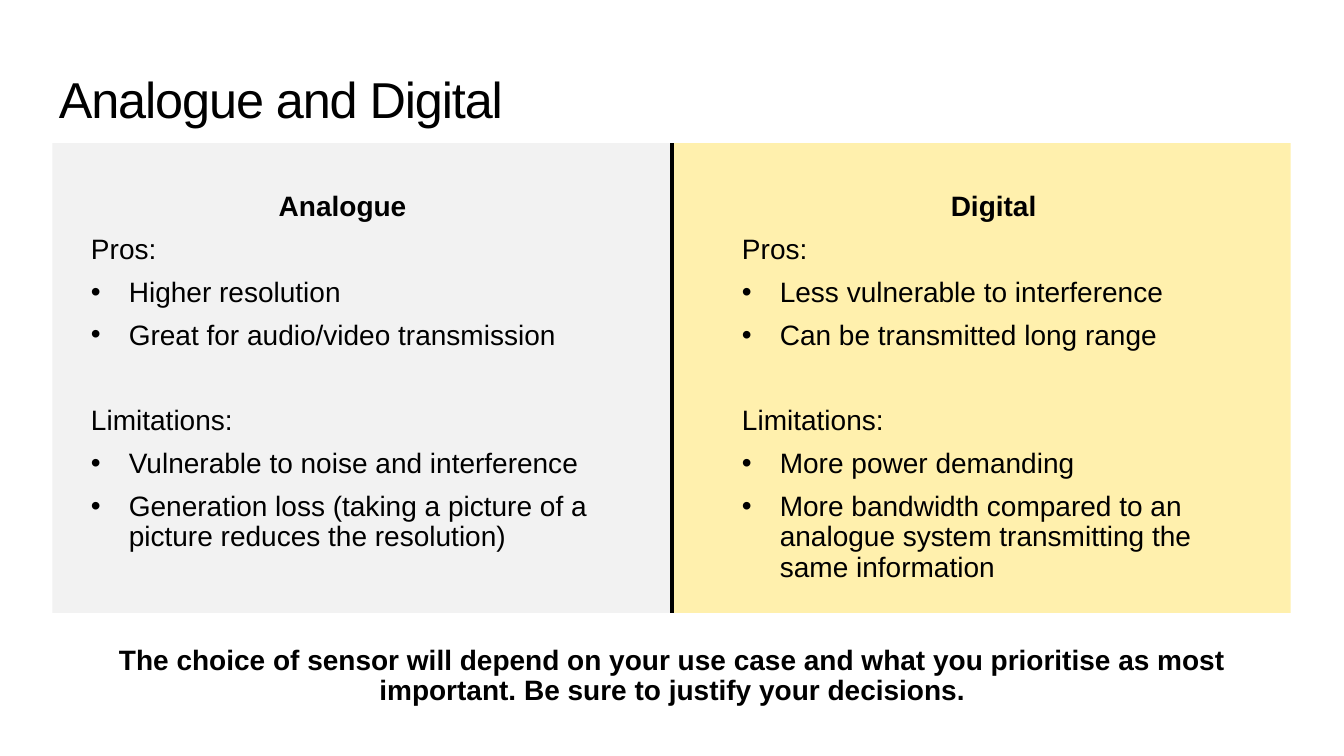
from dataclasses import dataclass

import pptx
import pptx.dml.color
import pptx.enum.shapes
import pptx.enum.text
import pptx.oxml
import pptx.oxml.ns
import pptx.util

Pt = pptx.util.Pt
Align = pptx.enum.text.PP_ALIGN
Anchor = pptx.enum.text.MSO_ANCHOR
AutoSize = pptx.enum.text.MSO_AUTO_SIZE


@dataclass(frozen=True)
class Theme:
    font: str = "Arial"
    ink: str = "000000"
    grey: str = "F2F2F2"
    yellow: str = "FFF0AD"
    title_size: float = 36
    text_size: float = 20
    inset: float = 4.5
    hanging: float = 27
    section_gap: float = 36.5


@dataclass(frozen=True)
class Area:
    left: float
    top: float
    width: float
    height: float

    def lengths(self) -> tuple:
        return Pt(self.left), Pt(self.top), Pt(self.width), Pt(self.height)


@dataclass(frozen=True)
class Column:
    heading: str
    pros: tuple[str, ...]
    limitations: tuple[str, ...]
    fill: str
    panel: Area
    text: Area


THEME = Theme()
MIDDLE, PANEL_TOP, PANEL_HEIGHT = 480, 102.25, 335.5

COLUMNS = (
    Column(
        "Analogue",
        ("Higher resolution", "Great for audio/video transmission"),
        ("Vulnerable to noise and interference",
         "Generation loss (taking a picture of a picture reduces the resolution)"),
        THEME.grey,
        Area(37.5, PANEL_TOP, MIDDLE - 37.5, PANEL_HEIGHT),
        Area(60.5, 127.5, 368.5, 277),
    ),
    Column(
        "Digital",
        ("Less vulnerable to interference", "Can be transmitted long range"),
        ("More power demanding",
         "More bandwidth compared to an analogue system transmitting the same information"),
        THEME.yellow,
        Area(MIDDLE, PANEL_TOP, 442, PANEL_HEIGHT),
        Area(525.5, 127.5, 368.5, 299),
    ),
)


def colour(code: str) -> pptx.dml.color.RGBColor:
    return pptx.dml.color.RGBColor.from_string(code)


def place(box, area: Area, anchor=Anchor.MIDDLE, auto_size=AutoSize.SHAPE_TO_FIT_TEXT) -> None:
    box.left, box.top, box.width, box.height = area.lengths()
    frame = box.text_frame
    frame.word_wrap = True
    frame.auto_size = auto_size
    frame.vertical_anchor = anchor
    frame.margin_left = frame.margin_right = Pt(THEME.inset)
    frame.margin_top = frame.margin_bottom = Pt(THEME.inset)


def write(box, text: str, *, size: float = THEME.text_size, bold: bool = False,
          align=Align.LEFT, bullet: bool = False, before: float = 6, after: float = 3,
          line: float = 0.9, tracking: float = 0) -> None:
    """Fill the first paragraph of a box, or add one after its text."""
    frame = box.text_frame
    para = frame.add_paragraph() if frame.text else frame.paragraphs[0]
    para.alignment, para.line_spacing = align, line
    para.space_before, para.space_after = Pt(before), Pt(after)
    span = para.add_run()
    span.text = text
    span.font.name, span.font.size, span.font.bold = THEME.font, Pt(size), bold
    span.font.color.rgb = colour(THEME.ink)
    if tracking:
        span._r.get_or_add_rPr().set("spc", str(round(tracking * 100)))

    # Bullet and hanging indent
    hanging = Pt(THEME.hanging) if bullet else 0
    properties = para._p.get_or_add_pPr()
    properties.set("marL", str(hanging))
    properties.set("indent", str(-hanging))
    space = pptx.oxml.ns.nsdecls("a")
    marks = ((f'<a:buFont {space} typeface="{THEME.font}"/>', f'<a:buChar {space} char="•"/>')
             if bullet else (f"<a:buNone {space}/>",))
    for mark in marks:
        properties.append(pptx.oxml.parse_xml(mark))


def add_panel(page, column: Column):
    panel = page.shapes.add_shape(pptx.enum.shapes.MSO_SHAPE.RECTANGLE, *column.panel.lengths())
    panel.shadow.inherit = False
    panel.fill.solid()
    panel.fill.fore_color.rgb = colour(column.fill)
    panel.line.fill.background()
    return panel


def add_divider(page):
    divider = page.shapes.add_connector(
        pptx.enum.shapes.MSO_CONNECTOR.STRAIGHT,
        Pt(MIDDLE), Pt(PANEL_TOP), Pt(MIDDLE), Pt(PANEL_TOP + PANEL_HEIGHT))
    divider.line.color.rgb = colour(THEME.ink)
    divider.line.width = Pt(2.25)
    effects = pptx.oxml.parse_xml(f'<a:effectLst {pptx.oxml.ns.nsdecls("a")}/>')
    divider.element.spPr.append(effects)
    return divider


def fill_column(box, column: Column) -> None:
    place(box, column.text)
    write(box, column.heading, bold=True, align=Align.CENTER)
    sections = (("Pros:", column.pros, 6), ("Limitations:", column.limitations, THEME.section_gap))
    for label, points, before in sections:
        write(box, label, before=before)
        for point in points:
            write(box, point, bullet=True)


def main() -> None:
    deck = pptx.Presentation()
    deck.slide_width, deck.slide_height = Pt(960), Pt(540)
    page = deck.slides.add_slide(deck.slide_layouts.get_by_name("Two Content"))
    title, *bodies = page.placeholders

    # Title
    place(title, Area(37.5, 52.5, 856, 90), Anchor.TOP, AutoSize.NONE)
    write(title, "Analogue and Digital", size=THEME.title_size, before=0, after=0,
          line=0.8, tracking=-0.8)

    # Columns, with the panels behind all text
    for body, column in zip(bodies, COLUMNS):
        title.element.addprevious(add_panel(page, column).element)
        fill_column(body, column)
    bodies[1].element.addprevious(add_divider(page).element)

    # Conclusion
    area = Area(39, 453, 882.5, 60.5)
    conclusion = page.shapes.add_textbox(*area.lengths())
    place(conclusion, area)
    write(conclusion, "The choice of sensor will depend on your use case and what you prioritise "
          "as most important. Be sure to justify your decisions.", bold=True, align=Align.CENTER)

    deck.save("out.pptx")


if __name__ == "__main__":
    main()
